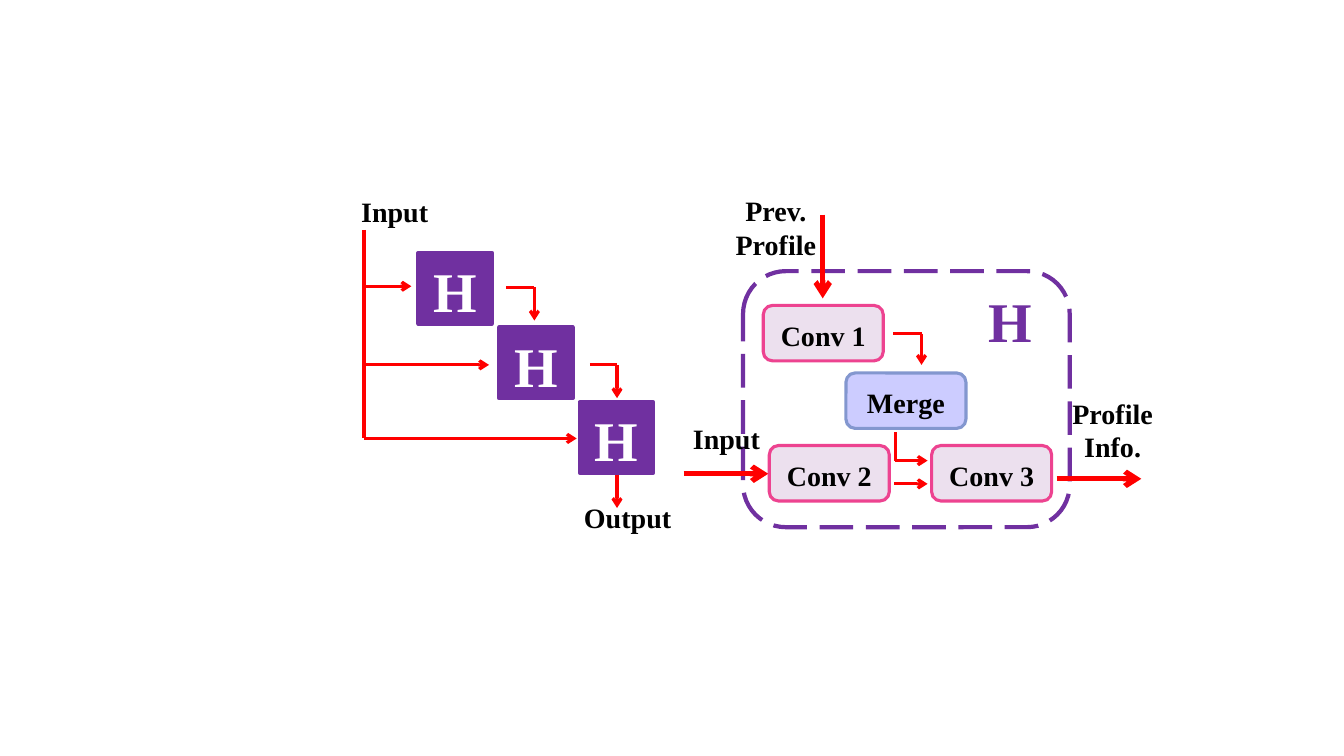
from pptx import Presentation
from pptx import util as u
from pptx.dml.color import RGBColor
from pptx.enum import dml, shapes, text
from pptx.oxml.ns import qn
from lxml import etree

# Content, placed on a grid of one-inch columns and rows
COLS, ROWS = 13.33, 7.5
FRAME = (7.37, 2.69, 3.24, 2.54)
STAIR = dict(count=3, left=4.15, top=2.51, right=0.8, down=0.74, size=(0.73, 0.7))
NODE = (1.19, 0.55)
NODES = [
    ("Conv 1", "conv", 7.57, 3.03),
    ("Merge", "merge", 8.39, 3.7),
    ("Conv 2", "conv", 7.63, 4.42),
    ("Conv 3", "conv", 9.24, 4.42),
]
LABELS = [  # lines, style, left, top, width, height
    (["Input"], "label", 3.48, 1.88, 0.87, 0.44),
    (["Output"], "label", 5.69, 4.92, 1.07, 0.44),
    (["Prev.", "Profile"], "label", 7.19, 1.87, 1.01, 0.77),
    (["Input"], "label", 6.77, 4.13, 0.87, 0.44),
    (["Profile", "Info."], "label", 10.53, 3.88, 1.01, 0.77),
    (["H"], "mark", 9.7, 2.79, 0.64, 0.77),
]
RAIL, RAIL_TOP = 3.61, 2.28
TAPS = [(2.84, 4.08), (3.62, 4.85), (4.35, 5.72)]  # row, tip of each branch
THIN = [  # points of each path; the last one carries the head
    [(5.02, 2.85), (5.3, 2.85), (5.3, 3.18)],
    [(5.85, 3.62), (6.12, 3.62), (6.12, 3.95)],
    [(6.12, 4.71), (6.12, 5.04)],
    [(8.86, 3.31), (9.14, 3.31), (9.14, 3.62)],
    [(8.88, 4.29), (8.88, 4.57), (9.2, 4.57)],
    [(8.87, 4.8), (9.2, 4.8)],
]
THICK = [
    [(8.16, 2.13), (8.16, 2.96)],
    [(6.78, 4.7), (7.62, 4.7)],
    [(10.48, 4.75), (11.32, 4.75)],
]

# Colours and type
THEME = dict(
    font="Times New Roman",
    red="FF0000",
    thin=2.25,
    thick=3.75,
    boxes=dict(  # fill, line, line width
        frame=("FFFFFF", "7030A0", 3),
        step=("7030A0", "7030A0", 3),
        conv=("ECE0EE", "ED4390", 2.25),
        merge=("CCCCFF", "8397CF", 2.25),
    ),
    types=dict(label=(20, "000000"), mark=(40, "7030A0"), step=(40, "FFFFFF")),
)

deck = Presentation()
deck.slide_width, deck.slide_height = u.Inches(COLS), u.Inches(ROWS)
slide = deck.slides.add_slide(deck.slide_layouts[6])


def inch(*vals):
    return [u.Inches(v) for v in vals]


def assign(item, vals):
    for name, val in vals.items():
        setattr(item, name, val)


def write(shape, lines, style):
    size, color = THEME["types"][style]
    frame = shape.text_frame
    frame.text = "\n".join(lines)
    for para in frame.paragraphs:
        para.alignment = text.PP_ALIGN.CENTER
        assign(para.font, dict(name=THEME["font"], size=u.Pt(size), bold=True))
        para.font.color.rgb = RGBColor.from_string(color)
    return frame


def box(style, *place):
    fill, line, width = THEME["boxes"][style]
    shape = slide.shapes.add_shape(shapes.MSO_SHAPE.ROUNDED_RECTANGLE, *inch(*place))
    shape.shadow.inherit = False
    shape.fill.solid()
    shape.fill.fore_color.rgb = RGBColor.from_string(fill)
    shape.line.color.rgb = RGBColor.from_string(line)
    shape.line.width = u.Pt(width)
    assign(shape.text_frame, dict(
        margin_left=0, margin_right=0, margin_top=u.Inches(0.04), margin_bottom=0,
        word_wrap=False, vertical_anchor=text.MSO_ANCHOR.MIDDLE))
    return shape


def route(points, width, head=True):
    ends = list(zip(points, points[1:]))
    for start, end in ends:
        line = slide.shapes.add_connector(
            shapes.MSO_CONNECTOR.STRAIGHT, *inch(*start, *end))
        line.line.color.rgb = RGBColor.from_string(THEME["red"])
        line.line.width = u.Pt(width)
        props = line._element.spPr
        if head and (start, end) == ends[-1]:
            etree.SubElement(props.find(qn("a:ln")), qn("a:tailEnd"),
                             type="arrow", w="med", len="med")
        etree.SubElement(props, qn("a:effectLst"))


# Dashed frame and its nodes
box("frame", *FRAME).line.dash_style = dml.MSO_LINE.LONG_DASH
for name, style, left, top in NODES:
    write(box(style, left, top, *NODE), [name], "label")

# Staircase of blocks
for i in range(STAIR["count"]):
    left = STAIR["left"] + i * STAIR["right"]
    top = STAIR["top"] + i * STAIR["down"]
    step = box("step", left, top, *STAIR["size"])
    step.adjustments[0] = 0
    write(step, ["H"], "step")

# Input rail, its branches and the other arrows
route([(RAIL, RAIL_TOP), (RAIL, TAPS[-1][0])], THEME["thin"], head=False)
for row, tip in TAPS:
    route([(RAIL, row), (tip, row)], THEME["thin"])
for weight, paths in (("thin", THIN), ("thick", THICK)):
    for points in paths:
        route(points, THEME[weight])

# Free labels
for lines, style, *place in LABELS:
    note = slide.shapes.add_textbox(*inch(*place))
    write(note, lines, style).word_wrap = False

deck.save("out.pptx")
